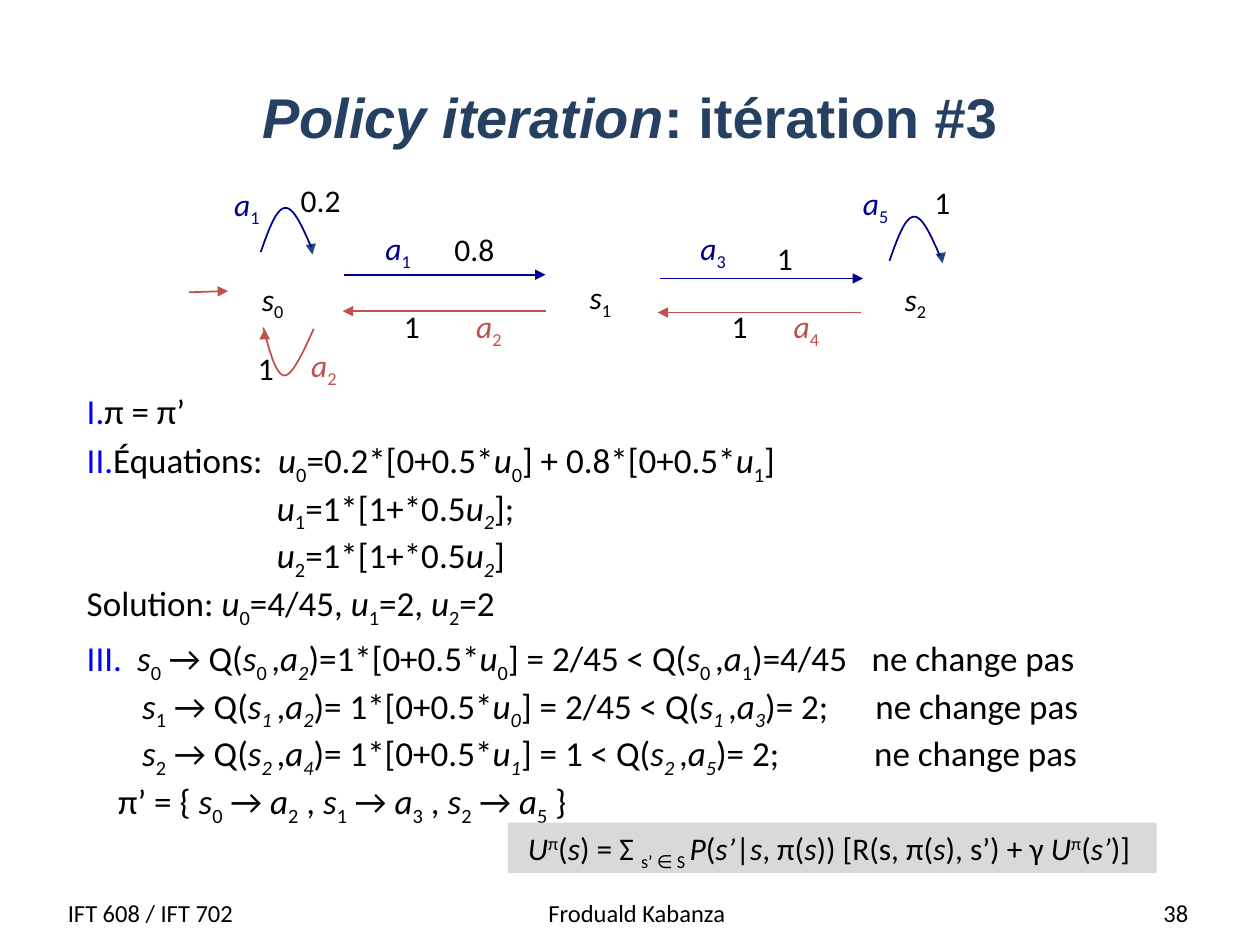
"""Build the slide on iteration 3 of policy iteration for a three-state decision process."""
from pptx import Presentation
from pptx.dml.color import RGBColor
from pptx.enum.shapes import MSO_CONNECTOR as Connector, MSO_SHAPE as Preset
from pptx.enum.text import MSO_ANCHOR as Anchor, PP_ALIGN as Align
from pptx.oxml.ns import qn
from pptx.util import Inches, Pt
from lxml.etree import SubElement

WIDTH, HEIGHT = Inches(10), Inches(7.5)
COLUMNS, ROWS = 100, 75
THEME = {
    "black": "000000", "title": "254061", "blue": "000090", "red": "C0504D",
    "tip": "1F497D", "number": "0000FF", "panel": "D9D9D9",
    "heading": 32, "body": 20, "label": 18, "footer": 14, "line": 1,
    "head_font": "Arial", "text_font": "Calibri",
}
TOGGLES = {"~": "italic", "_": "sub", "^": "super"}
BASELINES = {"sub": "-25000", "super": "30000"}

TITLE = "~Policy iteration~: itération #3"
FOOTERS = [
    ("IFT 608 / IFT 702", 4.4, 19.3, Align.LEFT),
    ("Froduald Kabanza", 34.7, 31.7, Align.CENTER),
    ("38", 72, 23.3, Align.RIGHT),
]
LABELS = [
    ("~s~_0_", "black", 21.65, 21.7), ("~s~_1_", "black", 47.65, 21.6),
    ("~s~_2_", "black", 72.65, 21.7),
    ("~a~_1_", "blue", 19.6, 14.2), ("0.2", "black", 25.45, 13.9),
    ("~a~_5_", "blue", 69.5, 14.1), ("1", "black", 74.8, 14),
    ("~a~_1_", "blue", 31.6, 17.7), ("0.8", "black", 37.65, 17.8),
    ("~a~_3_", "blue", 56.6, 17.7), ("1", "black", 62.3, 18.5),
    ("1", "black", 32.7, 23.9), ("~a~_2_", "red", 38.8, 23.9),
    ("1", "black", 58.7, 23.9), ("~a~_4_", "red", 64, 23.9),
    ("1", "black", 21.1, 27.2), ("~a~_2_", "red", 25.7, 27),
]
ARROWS = [
    ("blue", (27.3, 21.8), (43.3, 21.8)), ("blue", (52.4, 22.1), (68.5, 22.1)),
    ("red", (43.3, 24.7), (27.2, 24.7)), ("red", (68.3, 24.8), (52.2, 24.8)),
    ("red", (15, 23.2), (18.1, 23.1)), ("red", (21, 26.8), (21, 26.1)),
    ("tip", (24.7, 19.6), (24.8, 20.2)), ("tip", (74.7, 20.3), (74.8, 20.9)),
]
UPPER_LOOP = [(0, 3.6), (0.6, 1.9), (1.2, 0.2), (1.9, 0.1), (2.6, 0), (3.3, 1.6), (4, 3.2)]
LOWER_LOOP = [(4, 0.1), (3.2, 1.9), (2.3, 3.8), (1.7, 3.8), (1, 3.8), (0.5, 1.9), (0, 0)]
LOOPS = [
    ("blue", (20.7, 16.4), UPPER_LOOP), ("blue", (70.6, 17.1), UPPER_LOOP),
    ("red", (20.9, 26), LOWER_LOOP),
]
BODY = [
    ("π = π’", 1, ()),
    ("Équations:\t~u~_0_=0.2*[0+0.5*~u~_0_] + 0.8*[0+0.5*~u~_1_]", 2, (15.2,)),
    ("\t~u~_1_=1*[1+*0.5~u_2_~];", None, (15.1,)),
    ("\t~u~_2_=1*[1+*0.5~u_2_~]", None, (15.1,)),
    ("Solution: ~u~_0_=4/45, ~u~_1_=2, ~u~_2_=2", None, ()),
    ("\t~s~_0_ → Q(~s~_0 _,~a_2_~)=1*[0+0.5*~u~_0_] = 2/45 < Q(~s~_0 _,~a~_1_)=4/45\tne change pas",
     3, (4, 62.3)),
    ("\t~s~_1_ → Q(~s_1 _~,~a_2_~)= 1*[0+0.5*~u_0_~] = 2/45 < Q(~s_1 _~,~a_3_~)= 2;\tne change pas",
     None, (4.4, 62.6)),
    ("\t~s~_2_ → Q(~s_2 _~,~a_4_~)= 1*[0+0.5*~u_1_~] = 1 < Q(~s_2 _~,~a_5_~)= 2;\tne change pas",
     None, (4.4, 62.5)),
    ("\tπ’ = { ~s~_0_ → ~a~_2_ , ~s~_1_ → ~a~_3_ , ~s~_2_ → ~a~_5_ }", None, (2.5,)),
]
FORMULA = ("~U~^π^(~s~) = Σ _s’ ∈ S _~P~(~s’~|~s~, π(~s~)) "
           "[R(s, π(~s~), s’) + γ ~U~^π^(~s’~)]")


def across(columns):
    return round(WIDTH * columns / COLUMNS)


def down(rows):
    return round(HEIGHT * rows / ROWS)


def color(name):
    return RGBColor.from_string(THEME[name])


def apply(target, values):
    for name, value in values.items():
        setattr(target, name, value)


def split_markup(text):
    active, piece = set(), ""
    for letter in text:
        if letter in TOGGLES:
            if piece:
                yield piece, set(active)
            active ^= {TOGGLES[letter]}
            piece = ""
        else:
            piece += letter
    if piece:
        yield piece, active


def write(para, text, size, ink="black", font="text_font", bold=False):
    for piece, styles in split_markup(text):
        span = para.add_run()
        span.text = piece
        apply(span.font, {"name": THEME[font], "size": Pt(THEME[size]),
                          "bold": bold, "italic": "italic" in styles})
        span.font.color.rgb = color(ink)
        for style in styles & BASELINES.keys():
            span.font._element.set("baseline", BASELINES[style])


def add_text(page, place, text, size, align=Align.LEFT, anchor=Anchor.TOP, wrap=True, **style):
    left, top, width, height = place
    box = page.shapes.add_textbox(across(left), down(top), across(width), down(height))
    apply(box.text_frame, {"word_wrap": wrap, "vertical_anchor": anchor})
    para = box.text_frame.paragraphs[0]
    para.alignment = align
    write(para, text, size, **style)


def add_arrow(page, ink, start, end):
    arrow = page.shapes.add_connector(
        Connector.STRAIGHT, across(start[0]), down(start[1]), across(end[0]), down(end[1]))
    apply(arrow.line, {"width": Pt(THEME["line"])})
    arrow.line.color.rgb = color(ink)
    SubElement(arrow.line._get_or_add_ln(), qn("a:tailEnd"), type="triangle")
    SubElement(arrow._element.spPr, qn("a:effectLst"))


def curve_points(controls, steps=16):
    for first in range(0, len(controls) - 1, 3):
        for step in range(1, steps + 1):
            t = step / steps
            weights = ((1 - t) ** 3, 3 * t * (1 - t) ** 2, 3 * t * t * (1 - t), t ** 3)
            group = controls[first:first + 4]
            yield tuple(sum(w * point[axis] for w, point in zip(weights, group))
                        for axis in (0, 1))


def add_loop(page, ink, origin, controls):
    points = [(across(origin[0] + x), down(origin[1] + y))
              for x, y in [controls[0], *curve_points(controls)]]
    builder = page.shapes.build_freeform(*points[0])
    builder.add_line_segments(points[1:], close=False)
    loop = builder.convert_to_shape()
    loop.shadow.inherit = False
    loop.fill.background()
    loop.line.width = Pt(THEME["line"])
    loop.line.color.rgb = color(ink)


def format_step(para, number, stops):
    settings = para._p.get_or_add_pPr()
    apply(para, {"space_before": Pt(4 if number and number > 1 else 0)})
    if number:
        tint = SubElement(settings, qn("a:buClr"))
        SubElement(tint, qn("a:srgbClr"), val=THEME["number"])
        SubElement(settings, qn("a:buAutoNum"), type="romanUcPeriod", startAt=str(number))
    else:
        SubElement(settings, qn("a:buNone"))
    if stops:
        tabs = SubElement(settings, qn("a:tabLst"))
        for stop in stops:
            SubElement(tabs, qn("a:tab"), pos=str(across(stop)), algn="l")


def add_body(page):
    box = page.shapes.add_textbox(across(5.9), down(30.4), across(86.7), down(34.9))
    box.text_frame.word_wrap = True
    for index, (text, number, stops) in enumerate(BODY):
        para = box.text_frame.add_paragraph() if index else box.text_frame.paragraphs[0]
        format_step(para, number, stops)
        write(para, text, "body")


def add_formula(page):
    panel = page.shapes.add_shape(
        Preset.RECTANGLE, across(40.3), down(65.3), across(51.5), down(4))
    panel.shadow.inherit = False
    panel.fill.solid()
    panel.fill.fore_color.rgb = color("panel")
    panel.line.fill.background()
    apply(panel.text_frame, {"word_wrap": False, "vertical_anchor": Anchor.TOP,
                             "margin_left": across(1.6)})
    para = panel.text_frame.paragraphs[0]
    para.alignment = Align.LEFT
    write(para, FORMULA, "label")


def main():
    deck = Presentation()
    apply(deck, {"slide_width": WIDTH, "slide_height": HEIGHT})
    page = deck.slides.add_slide(deck.slide_layouts[6])
    add_text(page, (5, 3, 90, 12.5), TITLE, "heading", Align.CENTER, Anchor.MIDDLE,
             ink="title", font="head_font", bold=True)
    for text, left, width, align in FOOTERS:
        add_text(page, (left, 70.4, width, 4), text, "footer", align, Anchor.MIDDLE)
    for text, ink, center, top in LABELS:
        width = 5.3 if "." in text else 4.4 if "~" in text else 3.4
        add_text(page, (center - width / 2, top, width, 4), text, "label",
                 Align.CENTER, wrap=False, ink=ink)
    for arrow in ARROWS:
        add_arrow(page, *arrow)
    for loop in LOOPS:
        add_loop(page, *loop)
    add_body(page)
    add_formula(page)
    deck.save("out.pptx")


if __name__ == "__main__":
    main()
